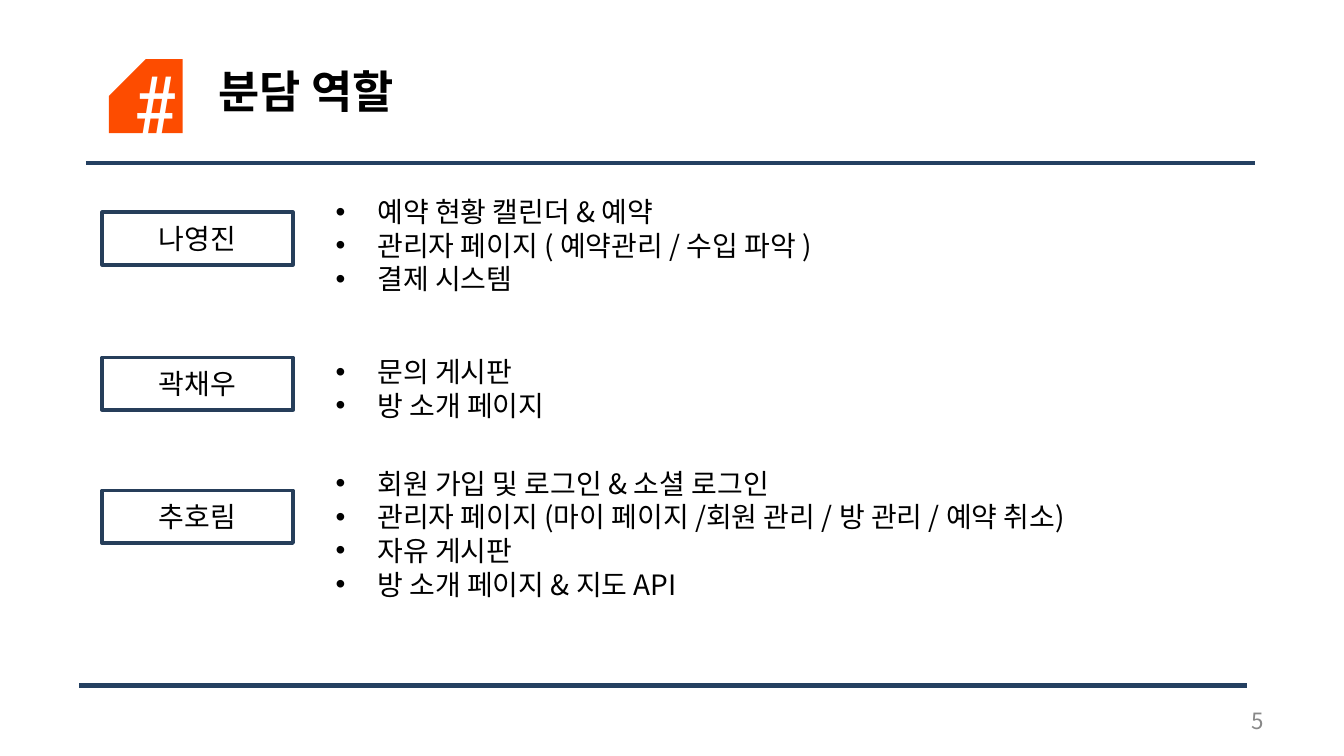
from lxml import etree
from pptx import Presentation
from pptx.dml.color import RGBColor
from pptx.enum.shapes import MSO_CONNECTOR as Connector, MSO_SHAPE as Shape
from pptx.enum.text import MSO_ANCHOR as Anchor, PP_ALIGN as Align
from pptx.oxml.ns import qn
from pptx.util import Inches, Pt

ORANGE = RGBColor(0xFD, 0x4C, 0x00)
NAVY = RGBColor(0x24, 0x40, 0x61)
BOX_NAVY = RGBColor(0x26, 0x3E, 0x5A)
GRAY = RGBColor(0x88, 0x88, 0x88)
BLACK = RGBColor(0, 0, 0)
WHITE = RGBColor(0xFF, 0xFF, 0xFF)
KOREAN_FONT = "Noto Sans CJK KR"
BODY_SIZE = 15

ROLES = [
    ("나영진", 1.58, 1.4, 5.83, 0.86, [
        "예약 현황 캘린더 & 예약",
        "관리자 페이지 ( 예약관리 / 수입 파악 )",
        "결제 시스템",
    ]),
    ("곽채우", 2.66, 2.59, 5.83, 0.61, [
        "문의 게시판",
        "방 소개 페이지",
    ]),
    ("추호림", 3.65, 3.42, 6.26, 1.11, [
        "회원 가입 및 로그인 & 소셜 로그인",
        "관리자 페이지 (마이 페이지 /회원 관리 / 방 관리 / 예약 취소)",
        "자유 게시판",
        "방 소개 페이지 & 지도 API",
    ]),
]


def style_runs(paragraph, size, color=BLACK, font=KOREAN_FONT, bold=False):
    for run in paragraph.runs:
        run.font.size = Pt(size)
        run.font.name = font
        run.font.bold = bold
        run.font.color.rgb = color
        east_asian = etree.SubElement(run.font._element, qn("a:ea"))
        east_asian.set("typeface", KOREAN_FONT)


def add_bullet(paragraph):
    properties = paragraph._p.get_or_add_pPr()
    properties.set("marL", str(Inches(0.31)))
    properties.set("indent", str(-Inches(0.31)))
    color = etree.SubElement(properties, qn("a:buClr"))
    etree.SubElement(color, qn("a:srgbClr")).set("val", str(BLACK))
    etree.SubElement(properties, qn("a:buFont")).set("typeface", "Arial")
    etree.SubElement(properties, qn("a:buChar")).set("char", "•")


def add_text(slide, left, top, width, height, lines):
    frame = slide.shapes.add_textbox(
        Inches(left), Inches(top), Inches(width), Inches(height)).text_frame
    frame.word_wrap = True
    frame.text = "\n".join(lines)
    return frame


def add_rule(slide, left, right, y):
    rule = slide.shapes.add_connector(
        Connector.STRAIGHT, Inches(left), Inches(y), Inches(right), Inches(y))
    rule.line.color.rgb = NAVY
    rule.line.width = Pt(2.25)
    etree.SubElement(rule._element.spPr, qn("a:effectLst"))


def add_emblem(slide):
    tag = slide.shapes.add_shape(
        Shape.SNIP_1_RECTANGLE, Inches(0.81), Inches(0.44), Inches(0.55), Inches(0.55))
    tag.adjustments[0] = 0.5
    tag._element.spPr.find(qn("a:xfrm")).set("flipH", "1")
    tag.shadow.inherit = False
    tag.fill.solid()
    tag.fill.fore_color.rgb = ORANGE
    tag.line.fill.background()
    hash_mark = add_text(slide, 0.89, 0.35, 0.59, 0.83, ["#"]).paragraphs[0]
    style_runs(hash_mark, 44, WHITE, "Roboto Condensed")


def add_title(slide):
    title = add_text(slide, 1.53, 0.42, 7.24, 0.5, ["분담 역할"]).paragraphs[0]
    title.line_spacing = Pt(29)
    style_runs(title, 24, font="Arial", bold=True)


def add_member(slide, name, top):
    box = slide.shapes.add_shape(
        Shape.RECTANGLE, Inches(0.76), Inches(top), Inches(1.42), Inches(0.39))
    box.shadow.inherit = False
    box.fill.solid()
    box.fill.fore_color.rgb = WHITE
    box.line.color.rgb = BOX_NAVY
    box.line.width = Pt(2)
    frame = box.text_frame
    frame.vertical_anchor = Anchor.MIDDLE
    frame.text = name
    frame.paragraphs[0].alignment = Align.CENTER
    style_runs(frame.paragraphs[0], BODY_SIZE)


def add_tasks(slide, top, width, height, tasks):
    for task in add_text(slide, 2.4, top, width, height, tasks).paragraphs:
        task.line_spacing = Pt(18)
        add_bullet(task)
        style_runs(task, BODY_SIZE)


def add_page_number(slide):
    frame = add_text(slide, 7.17, 5.21, 2.33, 0.3, ["5"])
    frame.vertical_anchor = Anchor.MIDDLE
    frame.paragraphs[0].alignment = Align.RIGHT
    style_runs(frame.paragraphs[0], 12, GRAY)


def main():
    deck = Presentation()
    deck.slide_width = Inches(10)
    deck.slide_height = Inches(10 * 9 / 16)
    slide = deck.slides.add_slide(deck.slide_layouts[6])
    add_emblem(slide)
    add_title(slide)
    add_rule(slide, 0.64, 9.34, 1.21)
    add_rule(slide, 0.59, 9.28, 5.1)
    for name, name_top, tasks_top, width, height, tasks in ROLES:
        add_member(slide, name, name_top)
        add_tasks(slide, tasks_top, width, height, tasks)
    add_page_number(slide)
    deck.save("out.pptx")


if __name__ == "__main__":
    main()
